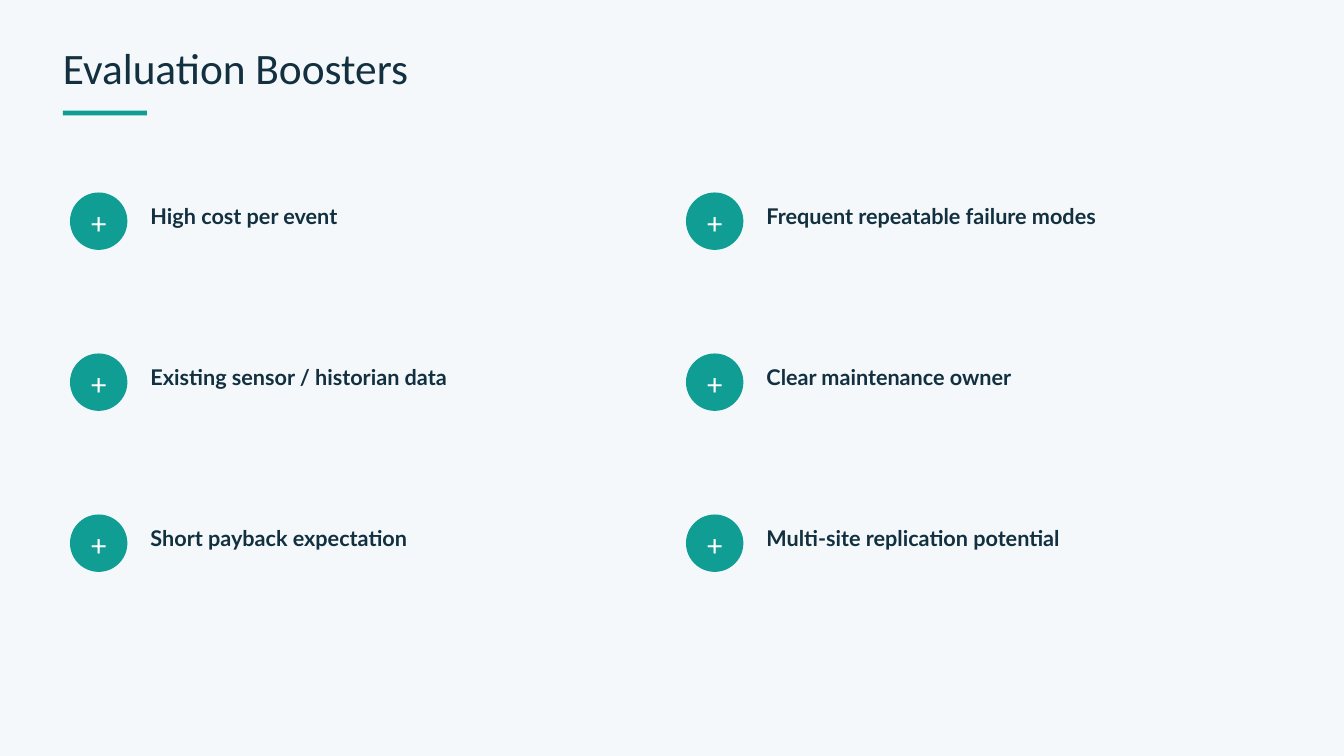
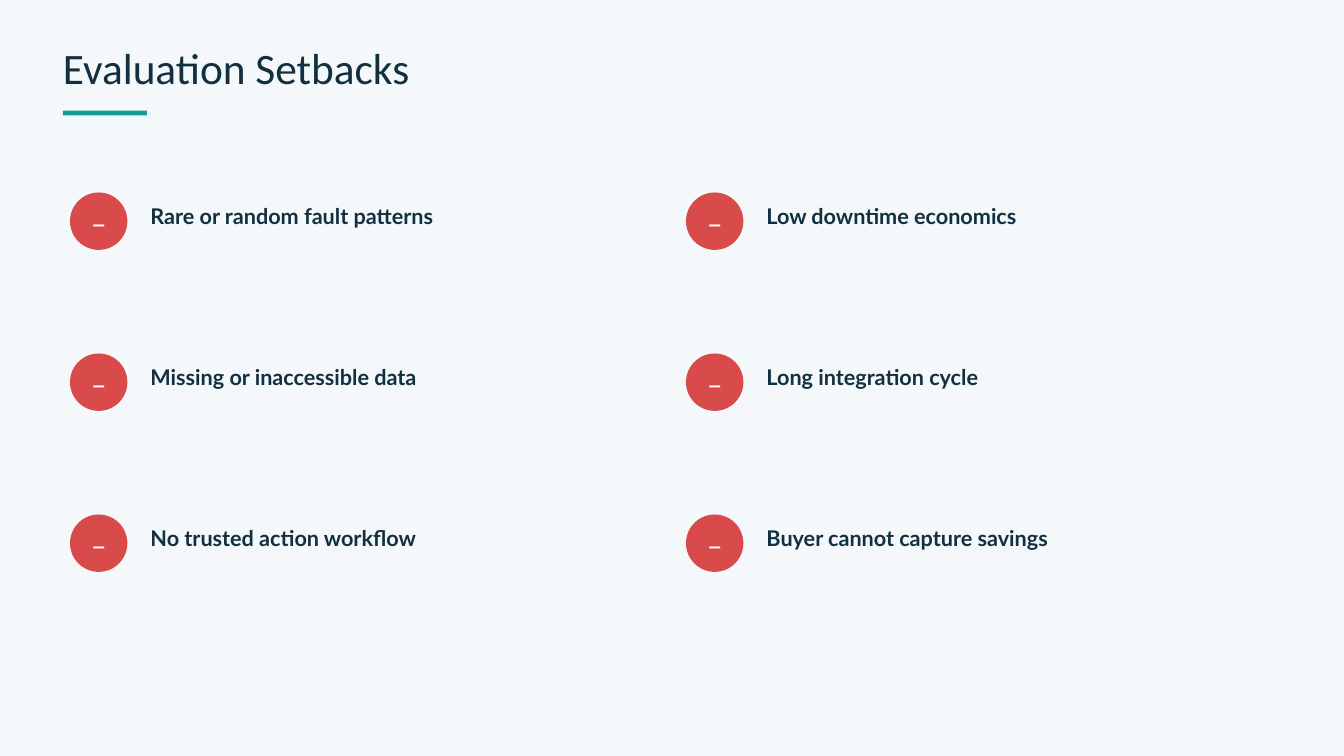
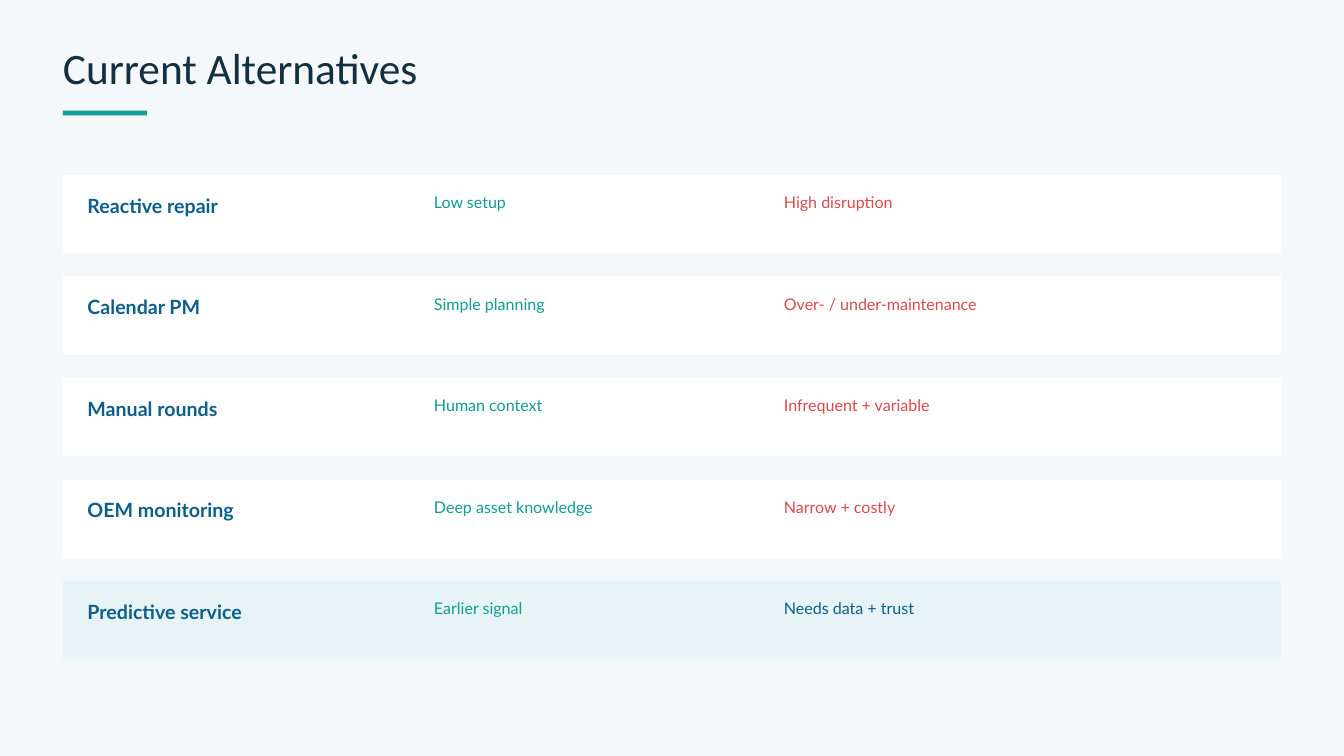
"""Build three slides on evaluation boosters, setbacks and current alternatives."""
from dataclasses import dataclass

from pptx import Presentation
from pptx.dml.color import RGBColor
from pptx.enum.shapes import MSO_SHAPE
from pptx.enum.text import MSO_ANCHOR, MSO_AUTO_SIZE, PP_ALIGN
from pptx.util import Emu, Pt

FACTOR_SLIDES = [
    ("Evaluation Boosters", "+", "teal", [
        "High cost per event", "Frequent repeatable failure modes",
        "Existing sensor / historian data", "Clear maintenance owner",
        "Short payback expectation", "Multi-site replication potential",
    ]),
    ("Evaluation Setbacks", "–", "red", [
        "Rare or random fault patterns", "Low downtime economics",
        "Missing or inaccessible data", "Long integration cycle",
        "No trusted action workflow", "Buyer cannot capture savings",
    ]),
]
ALTERNATIVES_TITLE = "Current Alternatives"
ALTERNATIVES = [
    ("Reactive repair", "Low setup", "High disruption"),
    ("Calendar PM", "Simple planning", "Over- / under-maintenance"),
    ("Manual rounds", "Human context", "Infrequent + variable"),
    ("OEM monitoring", "Deep asset knowledge", "Narrow + costly"),
]
OUR_OFFER = ("Predictive service", "Earlier signal", "Needs data + trust")


@dataclass(frozen=True)
class Theme:
    """Colours, fonts and type sizes (size, line spacing) in points."""
    ground: str = "F4F8FA"
    ink: str = "12303F"
    teal: str = "0F9D94"
    red: str = "D94B4B"
    blue: str = "0B5F8A"
    white: str = "FFFFFF"
    tint: str = "E7F3F4"
    heading_font: str = "Calibri"
    text_font: str = "Lato"
    title: tuple = (46.5, 48.8)
    sign: tuple = (33, 46.2)
    factor: tuple = (23.2, 32.5)
    option: tuple = (21, 29.4)
    remark: tuple = (17.2, 21.6)


THEME = Theme()
MARGIN, CONTENT_WIDTH = 90, 1740
FACTOR_LEFT, FACTOR_TOP, FACTOR_COLUMN, FACTOR_ROW = 100, 275, 880, 230
BADGE = 82
BAND_TOP, BAND_HEIGHT, BAND_PITCH = 250, 112, 145


def px(length):
    """Turn px into EMU at 96 px to the inch."""
    return Emu(length * 9525)


def place(shape, box):
    """Move a shape to a px box of left, top, width and height."""
    shape.left, shape.top, shape.width, shape.height = map(px, box)


def write(slide, text, box, *, style, color, font=THEME.text_font, bold=False,
          align=PP_ALIGN.LEFT, anchor=MSO_ANCHOR.TOP, inset=0, holder=None):
    """Write one line of text in a new text box or in a given placeholder."""
    holder = holder or slide.shapes.add_textbox(0, 0, 0, 0)
    place(holder, box)
    frame = holder.text_frame
    frame.word_wrap = True
    frame.auto_size = MSO_AUTO_SIZE.NONE
    frame.vertical_anchor = anchor
    frame.margin_left = frame.margin_right = px(inset)
    frame.margin_top = frame.margin_bottom = px(inset)
    frame.text = text
    line = frame.paragraphs[0]
    line.alignment = align
    size, spacing = style
    line.line_spacing = Pt(spacing)
    face = line.runs[0].font
    face.name, face.size, face.bold = font, Pt(size), bold
    face.color.rgb = RGBColor.from_string(color)


def fill_shape(slide, kind, box, color):
    """Add a flat preset shape without outline."""
    shape = slide.shapes.add_shape(kind, *map(px, box))
    shape.shadow.inherit = False
    shape.fill.solid()
    shape.fill.fore_color.rgb = RGBColor.from_string(color)
    shape.line.fill.background()


def titled_slide(deck, title):
    """Add a slide with its title and the short rule below it."""
    slide = deck.slides.add_slide(deck.slide_layouts[5])
    write(slide, title, (MARGIN, 68, CONTENT_WIDTH, 68), style=THEME.title,
          color=THEME.ink, font=THEME.heading_font, holder=slide.shapes.title)
    fill_shape(slide, MSO_SHAPE.RECTANGLE, (MARGIN, 158, 120, 7), THEME.teal)
    return slide


def factor_slide(deck, title, sign, color_name, factors):
    """Lay out factors with round badges in two columns."""
    slide = titled_slide(deck, title)
    for index, factor in enumerate(factors):
        row, column = divmod(index, 2)
        left = FACTOR_LEFT + column * FACTOR_COLUMN
        top = FACTOR_TOP + row * FACTOR_ROW
        fill_shape(slide, MSO_SHAPE.OVAL, (left, top, BADGE, BADGE),
                   getattr(THEME, color_name))
        write(slide, sign, (left, top - 6, BADGE, BADGE + 6), style=THEME.sign,
              color=THEME.white, font=THEME.heading_font,
              align=PP_ALIGN.CENTER, anchor=MSO_ANCHOR.MIDDLE, inset=6)
        write(slide, factor, (left + 115, top + 9, 650, 42),
              style=THEME.factor, color=THEME.ink, bold=True)


def alternatives_slide(deck):
    """Lay out one band per alternative, with the offer tinted at the end."""
    slide = titled_slide(deck, ALTERNATIVES_TITLE)
    bands = [(row, THEME.white, THEME.red) for row in ALTERNATIVES]
    bands.append((OUR_OFFER, THEME.tint, THEME.blue))
    for index, ((option, benefit, drawback), band, drawback_color) in enumerate(bands):
        top = BAND_TOP + index * BAND_PITCH
        fill_shape(slide, MSO_SHAPE.RECTANGLE,
                   (MARGIN, top, CONTENT_WIDTH, BAND_HEIGHT), band)
        write(slide, option, (125, top + 21, 420, 37),
              style=THEME.option, color=THEME.blue, bold=True)
        write(slide, benefit, (620, top + 24, 430, 28),
              style=THEME.remark, color=THEME.teal)
        write(slide, drawback, (1120, top + 24, 620, 28),
              style=THEME.remark, color=drawback_color)


def main():
    """Build and save the deck."""
    deck = Presentation()
    deck.slide_width, deck.slide_height = px(1920), px(1080)
    ground = deck.slide_master.background.fill
    ground.solid()
    ground.fore_color.rgb = RGBColor.from_string(THEME.ground)
    for content in FACTOR_SLIDES:
        factor_slide(deck, *content)
    alternatives_slide(deck)
    deck.save("out.pptx")


if __name__ == "__main__":
    main()
